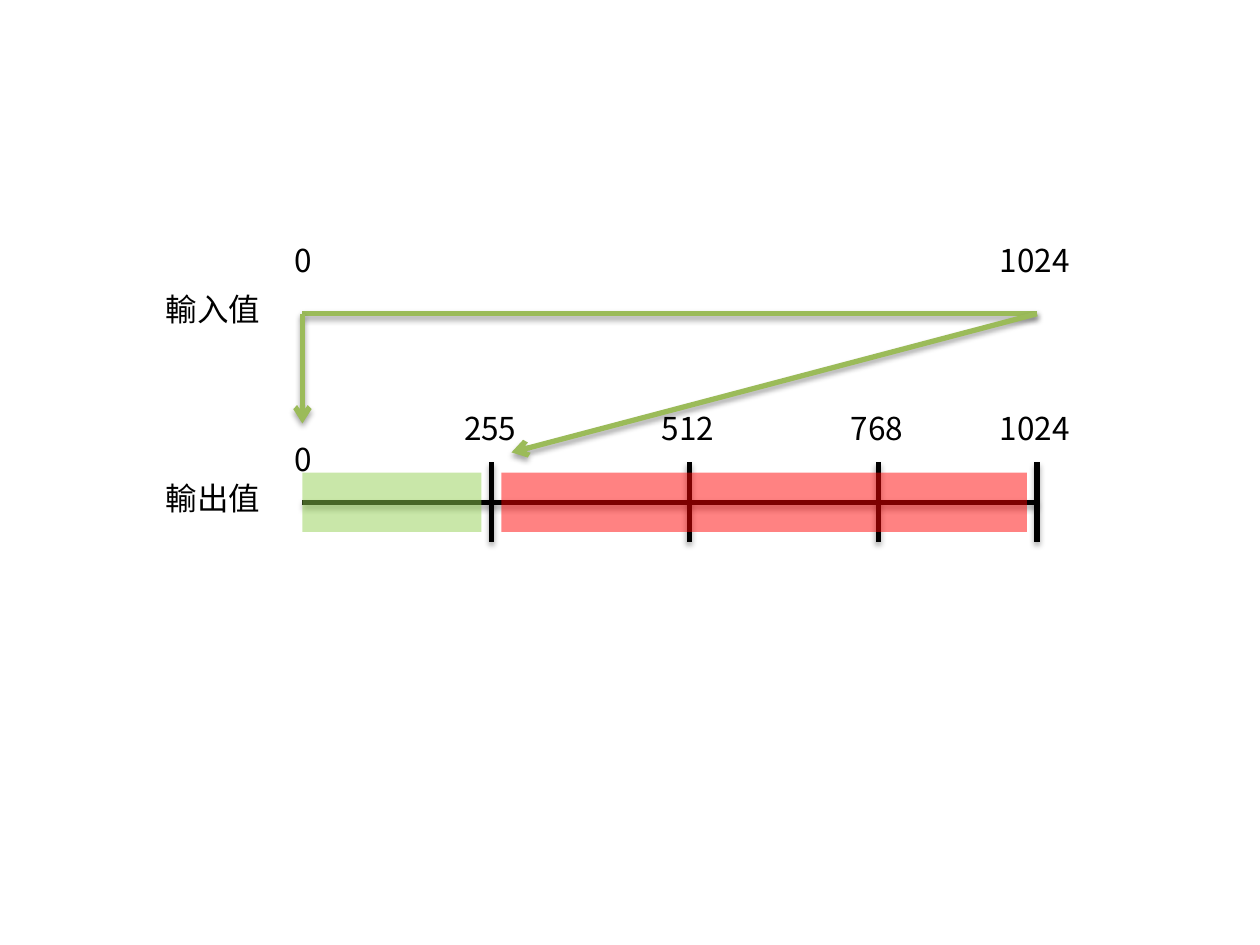
from lxml import etree
from pptx import Presentation
from pptx import util as u
from pptx.dml.color import RGBColor
from pptx.enum import shapes, text
from pptx.oxml import parse_xml
from pptx.oxml.ns import nsdecls, qn

FONT = "Noto Sans CJK SC"
COLORS = {"ink": "000000", "input": "9BBB59", "kept": "92D050", "cut": "FF0000"}

START, END = 172.8, 592.6
INPUT_Y, OUTPUT_Y = 179.3, 287.3
TICK_TOP, TICK_BOTTOM = 264.2, 309.6
BAND_TOP, BAND_HEIGHT, BAND_GAP = 270, 34, 5.7
LABEL_HEIGHT, ROW_LEFT, ROW_WIDTH = 29, 87.8, 69
INPUT_LABEL_TOP, OUTPUT_LABEL_TOP, ZERO_TOP = 134, 230.4, 247.7
ZERO_CENTER = START + 2.5
LABEL_WIDTHS = {1: 28, 3: 45.4, 4: 56.9}

ticks = [("255", 280.8), ("512", 393.8), ("768", 501.8), ("1024", END)]
scale_labels = [
    ("0", ZERO_CENTER, INPUT_LABEL_TOP),
    ("1024", END, INPUT_LABEL_TOP),
    ("0", ZERO_CENTER, ZERO_TOP),
] + [(value, x, OUTPUT_LABEL_TOP) for value, x in ticks]
row_labels = [("輸入值", 162), ("輸出值", 270)]
axes = [
    (START, OUTPUT_Y, END, OUTPUT_Y, "ink"),
    (START, INPUT_Y, END, INPUT_Y, "input"),
]
mappings = [
    (START, INPUT_Y, START, 242),
    (END, INPUT_Y, 292.3, 258.5),
]
first_tick = ticks[0][1]
bands = [
    (START, first_tick - BAND_GAP, "kept"),
    (first_tick + BAND_GAP, END - BAND_GAP, "cut"),
]

SHADOW = (
    f'<a:effectLst {nsdecls("a")}>'
    '<a:outerShdw blurRad="40000" dist="23000" dir="5400000" rotWithShape="0">'
    '<a:srgbClr val="000000"><a:alpha val="35000"/></a:srgbClr>'
    "</a:outerShdw></a:effectLst>"
)

deck = Presentation()
deck.slide_width, deck.slide_height = u.Pt(720), u.Pt(540)
slide = deck.slides.add_slide(deck.slide_layouts[6])


def color(name):
    return RGBColor.from_string(COLORS[name])


def add_line(x1, y1, x2, y2, hue, arrow=False):
    line = slide.shapes.add_connector(
        shapes.MSO_CONNECTOR.STRAIGHT, u.Pt(x1), u.Pt(y1), u.Pt(x2), u.Pt(y2)
    )
    line.line.color.rgb = color(hue)
    line.line.width = u.Pt(3)
    properties = line._element.spPr
    if arrow:
        etree.SubElement(properties.find(qn("a:ln")), qn("a:tailEnd"), type="arrow")
    properties.append(parse_xml(SHADOW))


def add_label(words, left, top, width):
    label = slide.shapes.add_textbox(
        u.Pt(left), u.Pt(top), u.Pt(width), u.Pt(LABEL_HEIGHT)
    )
    frame = label.text_frame
    frame.word_wrap = True
    frame.auto_size = text.MSO_AUTO_SIZE.SHAPE_TO_FIT_TEXT
    run = frame.paragraphs[0].add_run()
    run.text = words
    run.font.size = u.Pt(18)
    run.font.name = FONT
    run.font.color.rgb = color("ink")
    east_asian = etree.Element(qn("a:ea"), typeface=FONT)
    run.font._element.find(qn("a:latin")).addnext(east_asian)


def add_band(left, right, hue):
    band = slide.shapes.add_shape(
        shapes.MSO_SHAPE.RECTANGLE,
        u.Pt(left), u.Pt(BAND_TOP), u.Pt(right - left), u.Pt(BAND_HEIGHT),
    )
    band.shadow.inherit = False
    band.line.fill.background()
    band.fill.solid()
    band.fill.fore_color.rgb = color(hue)
    tint = band._element.spPr.find(qn("a:solidFill")).find(qn("a:srgbClr"))
    etree.SubElement(tint, qn("a:alpha"), val="49000")


for axis in axes:
    add_line(*axis)
for words, top in row_labels:
    add_label(words, ROW_LEFT, top, ROW_WIDTH)
for _, x in ticks:
    add_line(x, TICK_TOP, x, TICK_BOTTOM, "ink")
for words, center, top in scale_labels:
    width = LABEL_WIDTHS[len(words)]
    add_label(words, center - width / 2, top, width)
for mapping in mappings:
    add_line(*mapping, "input", arrow=True)
for band in bands:
    add_band(*band)

deck.save("out.pptx")
